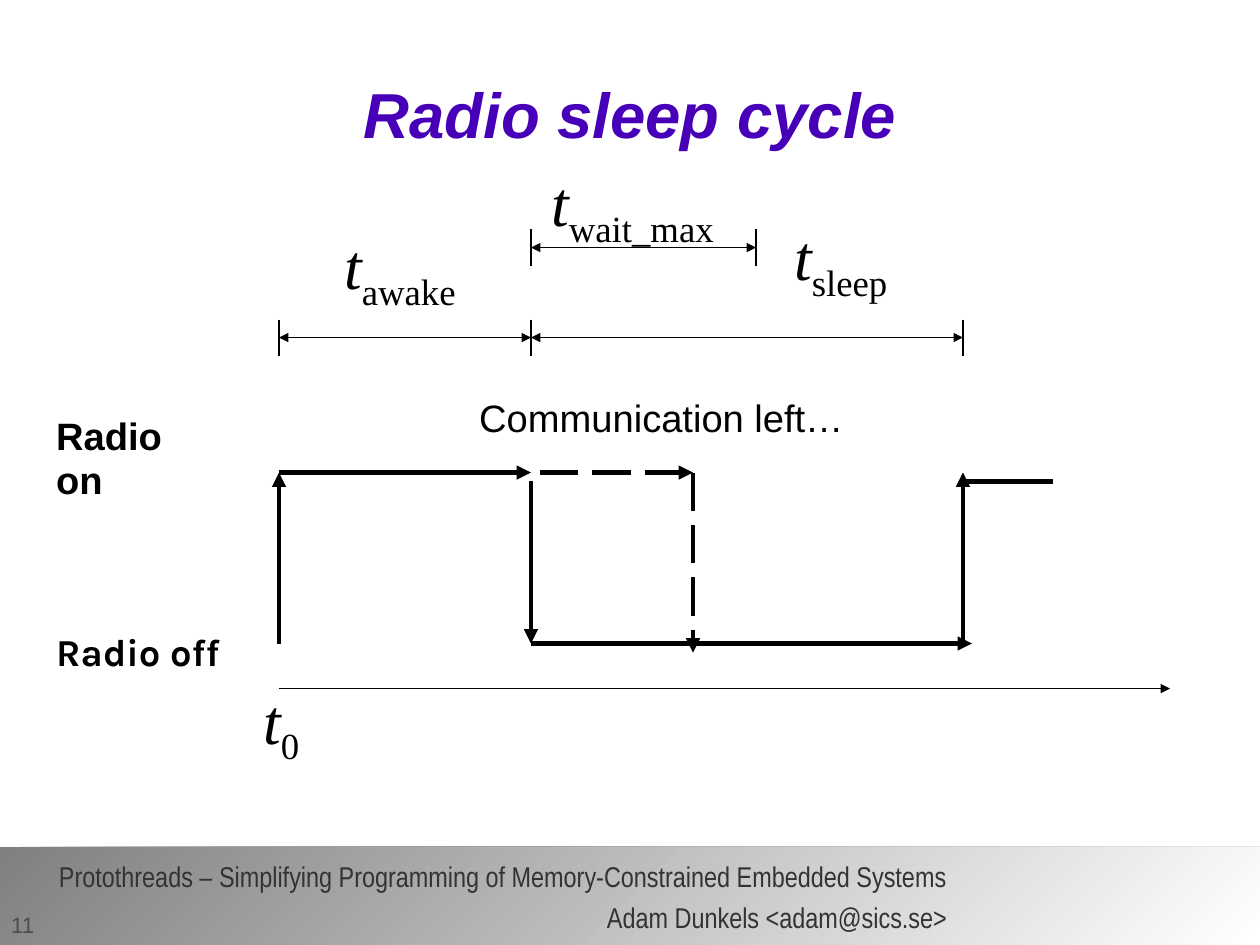
from lxml import etree
from pptx import Presentation
from pptx import util as u
from pptx.dml import color as dml
from pptx.enum import dml as line_styles
from pptx.enum import shapes, text
from pptx.oxml import ns

COLOURS = {
    "ink": "000000", "title": "4700B8", "footer": "333333",
    "number": "4D4D4D", "bar_dark": "808080", "bar_light": "FFFFFF",
}

# Moments on the time axis and radio levels, in cm
START, SLEEP, LATE_SLEEP, MAX_WAIT, WAKE = 6.2, 11.8, 15.4, 16.8, 21.4
RADIO_ON, RADIO_OFF, TIME_AXIS = 10.5, 14.3, 15.3

LABEL = {"size": u.Pt(24), "name": "Arial"}
SYMBOL = {"size": u.Pt(40), "name": "Times New Roman"}


def rgb(name):
    return dml.RGBColor.from_string(COLOURS[name])


def set_all(target, values):
    for name, value in values.items():
        setattr(target, name, value)


def add_run(paragraph, words, font, colour="ink"):
    run = paragraph.add_run()
    run.text = words
    set_all(run.font, font)
    run.font.color.rgb = rgb(colour)
    return run


def add_frame(slide, left, top, width, height, **frame_format):
    box = slide.shapes.add_textbox(*map(u.Cm, (left, top, width, height)))
    set_all(box.text_frame, frame_format)
    return box.text_frame


def add_label(slide, left, top, width, height, words, font, colour="ink"):
    frame = add_frame(slide, left, top, width, height, word_wrap=False,
                      auto_size=text.MSO_AUTO_SIZE.SHAPE_TO_FIT_TEXT)
    paragraph = frame.paragraphs[0]
    paragraph.line_spacing = 0.96
    add_run(paragraph, words, font, colour)
    return paragraph


def add_time_symbol(slide, left, top, width, subscript):
    paragraph = add_label(slide, left, top, width, 1.88, "t", SYMBOL | {"italic": True})
    run = add_run(paragraph, subscript, SYMBOL | {"italic": False})
    run.font._element.set("baseline", "-25000")


def add_block(slide, left, top, width, height, lines, font, colour, align, spacing):
    frame = add_frame(slide, left, top, width, height, word_wrap=True,
                      vertical_anchor=text.MSO_ANCHOR.MIDDLE, margin_left=0,
                      margin_right=0, margin_top=0, margin_bottom=0)
    for index, words in enumerate(lines):
        paragraph = frame.add_paragraph() if index else frame.paragraphs[0]
        set_all(paragraph, {"alignment": align, "line_spacing": spacing})
        add_run(paragraph, words, font, colour)


def add_line(slide, x1, y1, x2, y2, width=0.75, arrows=(), dashed=False):
    line = slide.shapes.add_connector(
        shapes.MSO_CONNECTOR.STRAIGHT, *map(u.Cm, (x1, y1, x2, y2)))
    line.line.width = u.Pt(width)
    line.line.color.rgb = rgb("ink")
    if dashed:
        line.line.dash_style = line_styles.MSO_LINE.LONG_DASH
    properties = line._element.spPr
    outline = properties.find(ns.qn("a:ln"))
    for end in arrows:
        etree.SubElement(outline, ns.qn(f"a:{end}"), type="triangle")
    etree.SubElement(properties, ns.qn("a:effectLst"))


def add_tick(slide, x, y):
    add_line(slide, x, y - 0.4, x, y + 0.4)


def add_span(slide, x1, x2, y):
    add_line(slide, x1, y, x2, y, arrows=("headEnd", "tailEnd"))


def add_footer(slide):
    bar = slide.shapes.add_shape(shapes.MSO_SHAPE.ROUNDED_RECTANGLE,
                                 *map(u.Cm, (0, 18.82, 28, 2.18)))
    bar.adjustments[0] = 0.002
    bar.shadow.inherit = False
    bar.line.fill.background()
    bar.fill.gradient()
    bar.fill.gradient_angle = 315
    for stop, position, name in zip(bar.fill.gradient_stops, (0, 1),
                                    ("bar_dark", "bar_light")):
        stop.position = position
        stop.color.rgb = rgb(name)
    add_block(slide, 0.3, 18.97, 20.75, 1.75,
              ["Protothreads – Simplifying Programming of Memory-Constrained Embedded Systems",
               "Adam Dunkels <adam@sics.se>"],
              {"size": u.Pt(18), "name": "Arial Narrow"}, "footer",
              text.PP_ALIGN.RIGHT, 1.2)
    add_label(slide, 0, 20.17, 1.12, 0.81, "11",
              {"size": u.Pt(14), "name": "Arial"}, "number")


def main():
    deck = Presentation()
    set_all(deck, {"slide_width": u.Cm(28), "slide_height": u.Cm(21)})
    slide = deck.slides.add_slide(deck.slide_layouts[6])

    add_footer(slide)
    add_block(slide, 2.05, 0.84, 23.9, 3.5, ["Radio sleep cycle"],
              {"size": u.Pt(40), "name": "Arial", "bold": True, "italic": True},
              "title", text.PP_ALIGN.CENTER, 0.98)

    # Time axis
    add_line(slide, START, TIME_AXIS, 26, TIME_AXIS, arrows=("tailEnd",))

    # Radio state changes
    for x1, y1, x2, y2, dashed in (
            (START, RADIO_OFF, START, RADIO_ON, False),
            (START, RADIO_ON, SLEEP, RADIO_ON, False),
            (SLEEP, RADIO_ON + 0.2, SLEEP, RADIO_OFF, False),
            (SLEEP + 0.2, RADIO_ON, LATE_SLEEP, RADIO_ON, True),
            (LATE_SLEEP, RADIO_ON, LATE_SLEEP, RADIO_OFF + 0.2, True),
            (SLEEP, RADIO_OFF, WAKE + 0.2, RADIO_OFF, False),
            (WAKE, RADIO_OFF, WAKE, RADIO_ON, False)):
        add_line(slide, x1, y1, x2, y2, 3, ("tailEnd",), dashed)
    add_line(slide, WAKE, RADIO_ON + 0.2, WAKE + 2, RADIO_ON + 0.2, 3)

    # Measured durations
    for y, moments in ((7.5, (START, SLEEP, WAKE)), (5.5, (SLEEP, MAX_WAIT))):
        for moment in moments:
            add_tick(slide, moment, y)
        for begin, end in zip(moments, moments[1:]):
            add_span(slide, begin, end, y)

    # Time symbols
    for left, top, width, subscript in (
            (5.6, 15, 1.37, "0"), (7.4, 4.9, 3.33, "awake"),
            (12, 3.5, 4.67, "wait_max"), (17.4, 4.7, 2.87, "sleep")):
        add_time_symbol(slide, left, top, width, subscript)

    # State labels
    add_label(slide, 1, 9.1, 4.11, 1.22, "Radio on", LABEL | {"bold": True})
    add_label(slide, 1, 13.9, 4.17, 1.22, "Radio off",
              LABEL | {"name": "Karla", "bold": True})
    add_label(slide, 10.4, 8.7, 8.61, 1.22, "Communication left…", LABEL)

    deck.save("out.pptx")


if __name__ == "__main__":
    main()
